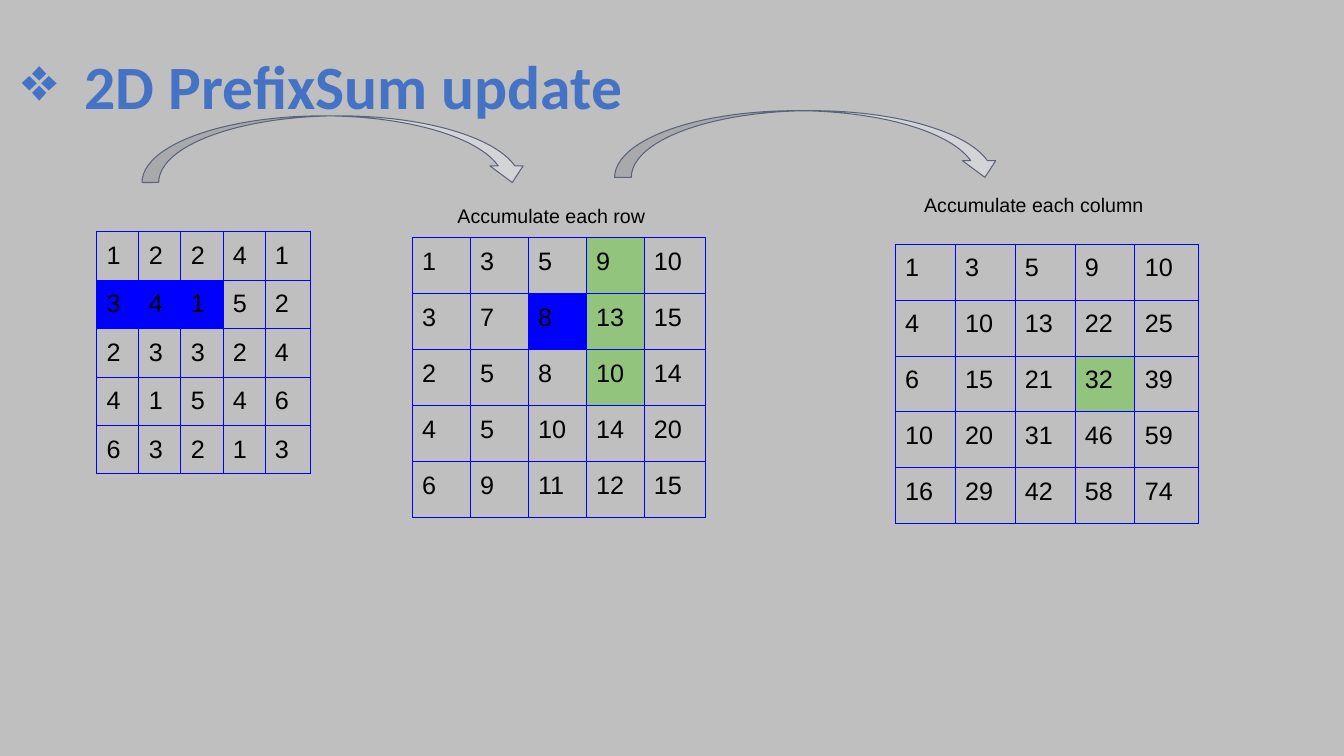
"""Build the slide that explains the update step of a 2D prefix sum."""
from dataclasses import dataclass
from itertools import accumulate

from lxml.etree import SubElement
from pptx import Presentation
from pptx.dml.color import RGBColor
from pptx.enum.shapes import MSO_SHAPE
from pptx.enum.text import MSO_ANCHOR, MSO_AUTO_SIZE, PP_ALIGN
from pptx.oxml.ns import qn
from pptx.util import Cm, Pt

BLUE, GREEN, BLACK = "0000FF", "93C47D", "000000"
Matrix = list[list[int]]


@dataclass
class Grid:
    values: Matrix
    left: float
    top: float
    column: float
    last_column: float
    row: float
    marked: dict[tuple[int, int], str]


@dataclass
class Caption:
    text: str
    left: float
    top: float
    width: float


@dataclass
class Arrow:
    left: float
    top: float


def colour(value: str) -> RGBColor:
    return RGBColor.from_string(value)


def apply(target, values: dict) -> None:
    for name, value in values.items():
        setattr(target, name, value)


def style_text(paragraph, font: str, size: float, ink: str, bold: bool = False) -> None:
    apply(paragraph.runs[0].font, {"name": font, "size": Pt(size), "bold": bold})
    paragraph.runs[0].font.color.rgb = colour(ink)


def set_insets(holder) -> None:
    sides = ("left", "top", "right", "bottom")
    apply(holder, {f"margin_{side}": Cm(0.25) for side in sides})


def draw_borders(cell) -> None:
    properties = cell._tc.get_or_add_tcPr()
    for side in ("lnL", "lnR", "lnT", "lnB"):
        border = SubElement(properties, qn(f"a:{side}"), w=str(Pt(0.75)))
        fill = SubElement(border, qn("a:solidFill"))
        SubElement(fill, qn("a:srgbClr"), val=BLUE)


def draw_title(slide, text: str) -> None:
    title = slide.shapes.title
    apply(title, {"left": Cm(0.3), "top": Cm(0.41), "width": Cm(29.21), "height": Cm(3.68)})
    frame = title.text_frame
    frame.text = text
    apply(frame, {"vertical_anchor": MSO_ANCHOR.MIDDLE, "auto_size": MSO_AUTO_SIZE.NONE,
                  "word_wrap": True})
    heading = frame.paragraphs[0]
    apply(heading, {"alignment": PP_ALIGN.LEFT, "line_spacing": 0.9})
    style_text(heading, "Calibri", 44, "4472C4", bold=True)
    properties = heading._p.get_or_add_pPr()
    apply_indent = {"marL": Cm(1.58), "indent": -Cm(1.58)}
    for name, value in apply_indent.items():
        properties.set(name, str(value))
    SubElement(properties, qn("a:buChar"), char="❖")


def draw_grid(slide, grid: Grid) -> None:
    rows, columns = len(grid.values), len(grid.values[0])
    widths = [grid.column] * (columns - 1) + [grid.last_column]
    table = slide.shapes.add_table(rows, columns, Cm(grid.left), Cm(grid.top),
                                   Cm(sum(widths)), Cm(grid.row * rows)).table
    apply(table, {"first_row": False, "horz_banding": False})
    for column, width in zip(table.columns, widths):
        column.width = Cm(width)
    for r, numbers in enumerate(grid.values):
        table.rows[r].height = Cm(grid.row)
        for c, number in enumerate(numbers):
            cell = table.cell(r, c)
            cell.text = str(number)
            set_insets(cell)
            style_text(cell.text_frame.paragraphs[0], "Arial", 18, BLACK)
            draw_borders(cell)
            if (r, c) in grid.marked:
                cell.fill.solid()
                cell.fill.fore_color.rgb = colour(grid.marked[r, c])
            else:
                cell.fill.background()


def draw_caption(slide, caption: Caption) -> None:
    frame = slide.shapes.add_textbox(Cm(caption.left), Cm(caption.top),
                                     Cm(caption.width), Cm(1)).text_frame
    frame.text = caption.text
    frame.word_wrap = True
    set_insets(frame)
    style_text(frame.paragraphs[0], "Arial", 14, BLACK)


def draw_arrow(slide, arrow: Arrow) -> None:
    curve = slide.shapes.add_shape(MSO_SHAPE.CURVED_DOWN_ARROW, Cm(arrow.left),
                                   Cm(arrow.top), Cm(9.75), Cm(1.68))
    curve.shadow.inherit = False
    curve.fill.solid()
    curve.fill.fore_color.rgb = colour("D4D4D6")
    curve.line.color.rgb = colour("5A6378")
    curve.line.width = Pt(0.75)


def main() -> None:
    numbers = [[1, 2, 2, 4, 1], [3, 4, 1, 5, 2], [2, 3, 3, 2, 4],
               [4, 1, 5, 4, 6], [6, 3, 2, 1, 3]]
    row_sums = [list(accumulate(row)) for row in numbers]
    column_sums = [list(row) for row in zip(*(accumulate(column) for column in zip(*row_sums)))]

    grids = [
        Grid(numbers, 2.44, 5.84, 1.06, 1.14, 1.22, {(1, c): BLUE for c in range(3)}),
        Grid(row_sums, 10.39, 5.99, 1.46, 1.56, 1.41,
             {(1, 2): BLUE} | {(r, 3): GREEN for r in range(3)}),
        Grid(column_sums, 22.56, 6.15, 1.51, 1.61, 1.41, {(2, 3): GREEN}),
    ]
    captions = [Caption("Accumulate each row", 11.28, 4.88, 5.38),
                Caption("Accumulate each column", 23.04, 4.62, 6.71)]
    arrows = [Arrow(15.49, 2.79), Arrow(3.58, 2.92)]

    deck = Presentation()
    apply(deck, {"slide_width": Cm(33.87), "slide_height": Cm(19.05)})
    slide = deck.slides.add_slide(deck.slide_layouts[5])
    slide.background.fill.solid()
    slide.background.fill.fore_color.rgb = colour("BFBFBF")

    draw_title(slide, "2D PrefixSum update")
    for grid in grids:
        draw_grid(slide, grid)
    for caption in captions:
        draw_caption(slide, caption)
    for arrow in arrows:
        draw_arrow(slide, arrow)
    deck.save("out.pptx")


if __name__ == "__main__":
    main()
